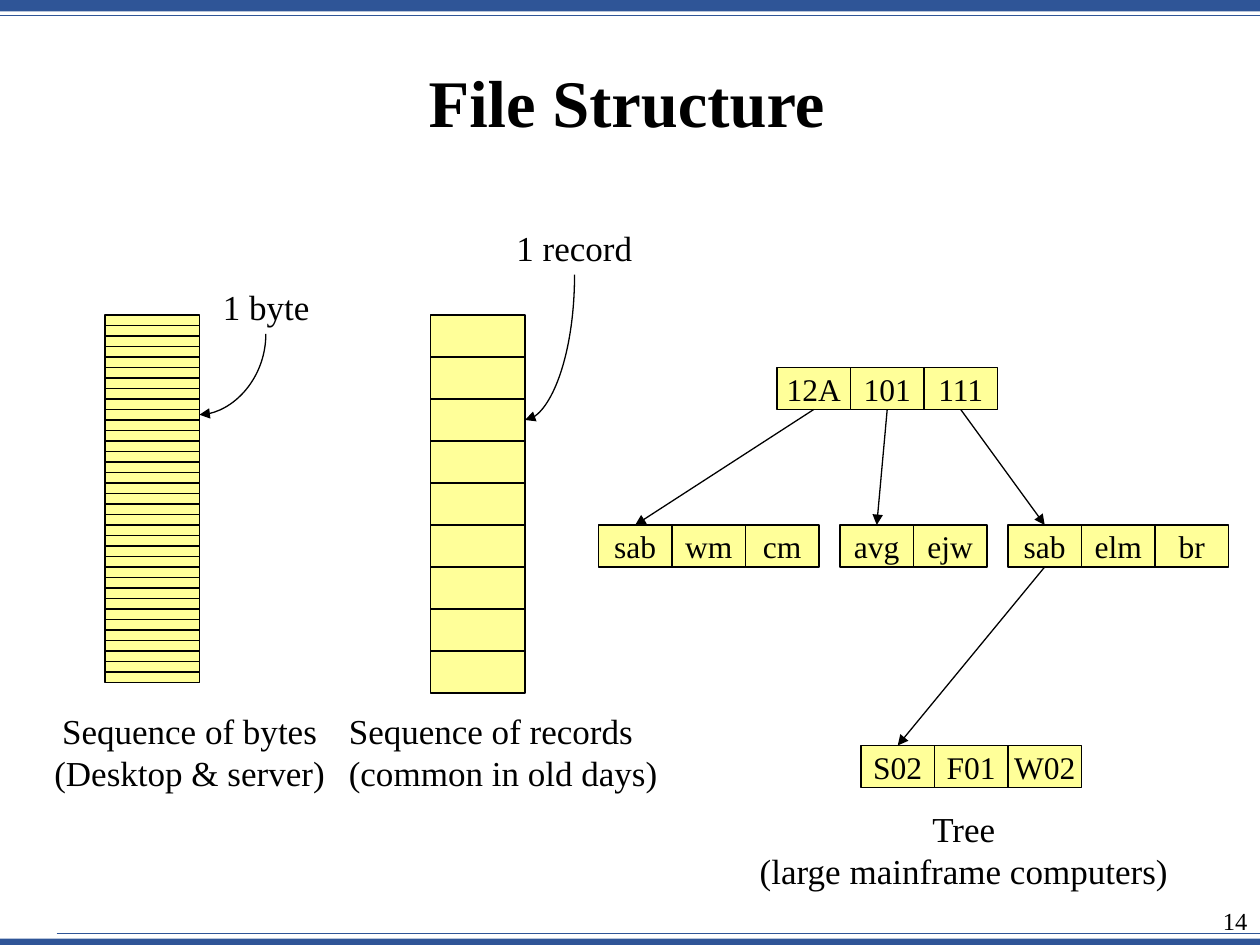
from lxml.etree import SubElement
from pptx import Presentation
from pptx.dml.color import RGBColor
from pptx.enum.shapes import MSO_CONNECTOR, MSO_SHAPE
from pptx.enum.text import MSO_ANCHOR, MSO_AUTO_SIZE, PP_ALIGN
from pptx.oxml.ns import qn
from pptx.util import Inches, Pt

BLUE = RGBColor(0x2F, 0x55, 0x97)
CREAM = RGBColor(0xFF, 0xFF, 0x99)
BLACK = RGBColor(0, 0, 0)
LEFT, MID, RIGHT = PP_ALIGN.LEFT, PP_ALIGN.CENTER, PP_ALIGN.RIGHT
UNIT = 1 / 12  # the drawing sits on a grid of twelfths of an inch
CELL_W, CELL_H = 7 * UNIT, 4 * UNIT
COL_W = 9 * UNIT


class Pen:
    font = "Times New Roman"

    def __init__(self, slide):
        self.slide = slide
        self.shapes = slide.shapes

    def text(self, frame, lines, size, align, bold=False):
        for i, line in enumerate(lines):
            para = frame.paragraphs[0] if i == 0 else frame.add_paragraph()
            para.alignment = align
            run = para.add_run()
            run.text = line
            run.font.name = self.font
            run.font.size = Pt(size)
            run.font.bold = bold
            run.font.color.rgb = BLACK

    def title(self, text, x, y, w, h):
        box = self.shapes.title
        box.left, box.top, box.width, box.height = map(Inches, (x, y, w, h))
        frame = box.text_frame
        frame.vertical_anchor = MSO_ANCHOR.MIDDLE
        self.text(frame, [text], 38, MID, bold=True)
        frame.paragraphs[0].line_spacing = 0.9

    def label(self, lines, x, y, w, h, align=LEFT, size=20):
        box = self.shapes.add_textbox(*map(Inches, (x, y, w, h)))
        frame = box.text_frame
        frame.word_wrap = False
        frame.auto_size = MSO_AUTO_SIZE.SHAPE_TO_FIT_TEXT
        self.text(frame, lines, size, align)

    def rect(self, x, y, w, h, fill=CREAM, edge=BLACK):
        box = self.shapes.add_shape(
            MSO_SHAPE.RECTANGLE, *map(Inches, (x, y, w, h)))
        box.shadow.inherit = False
        box.fill.solid()
        box.fill.fore_color.rgb = fill
        if edge is None:
            box.line.fill.background()
        else:
            box.line.color.rgb = edge
            box.line.width = Pt(0.75)
        return box

    def stack(self, x, y, step, count):
        for i in range(count):
            self.rect(x, y + i * step, COL_W, step)

    def node(self, x, y, keys):
        """Draw a row of key cells that forms one tree node."""
        for i, key in enumerate(keys):
            frame = self.rect(x + i * CELL_W, y, CELL_W, CELL_H).text_frame
            frame.word_wrap = False
            frame.vertical_anchor = MSO_ANCHOR.MIDDLE
            self.text(frame, [key], 18, MID)

    def line(self, x1, y1, x2, y2, color=BLACK, width=0.75,
             head=True, kind=MSO_CONNECTOR.STRAIGHT):
        link = self.shapes.add_connector(
            kind, *map(Inches, (x1, y1, x2, y2)))
        link.line.color.rgb = color
        link.line.width = Pt(width)
        props = link.element.spPr
        if head:
            SubElement(props.find(qn("a:ln")), qn("a:tailEnd"),
                       type="triangle")
        SubElement(props, qn("a:effectLst"))
        return link

    def curve(self, x1, y1, x2, y2):
        """Draw a quarter bend that leaves downwards and arrives leftwards."""
        cx, cy = (x1 + x2) / 2, (y1 + y2) / 2
        dx, dy = (x1 - x2) / 2, (y2 - y1) / 2
        link = self.line(cx - dy, cy - dx, cx + dy, cy + dx,
                         kind=MSO_CONNECTOR.CURVE)
        props = link.element.spPr
        props.find(qn("a:prstGeom")).set("prst", "curvedConnector2")
        props.find(qn("a:xfrm")).set("rot", "5400000")


def main():
    deck = Presentation()
    deck.slide_width, deck.slide_height = Inches(10), Inches(7.5)
    pen = Pen(deck.slides.add_slide(deck.slide_layouts[5]))

    for y, h in ((7.45, 0.05), (0, 0.09)):
        pen.rect(0, y, 10, h, BLUE, None)
    for x, y in ((0, 0.12), (0.45, 7.41)):
        pen.line(x, y, 10, y, BLUE, 0.5, head=False)
    pen.label(["14"], 9.47, 7.14, 0.53, 0.36, RIGHT, 14)
    pen.title("File Structure", 0.66, 0.12, 8.63, 1.45)

    # Bytes and records
    byte_x, rec_x, top = 10 * UNIT, 41 * UNIT, 2.5
    pen.stack(byte_x, top, UNIT, 35)
    pen.label(["Sequence of bytes", "(Desktop & server)"],
              0.25, 5.58, 2.51, 0.77, MID)
    pen.stack(rec_x, top, CELL_H, 9)
    pen.label(["Sequence of records", "(common in old days)"],
              2.67, 5.58, 2.67, 0.77)
    pen.label(["1 byte"], 1.67, 2.22, 0.89, 0.43)
    pen.curve(2.11, 2.65, byte_x + COL_W, top + 9.5 * UNIT)
    pen.label(["1 record"], 4, 1.75, 1.12, 0.43)
    pen.curve(4.56, 2.18, rec_x + COL_W, top + 2.5 * CELL_H)

    # Tree
    root_x, root_y = 74 * UNIT, 35 * UNIT
    kid_y, leaf_x, leaf_y = 50 * UNIT, 82 * UNIT, 71 * UNIT
    kids = ((57 * UNIT, ("sab", "wm", "cm")),
            (80 * UNIT, ("avg", "ejw")),
            (96 * UNIT, ("sab", "elm", "br")))
    half = CELL_W / 2
    pen.node(root_x, root_y, ("12A", "101", "111"))
    for i, (x, keys) in enumerate(kids):
        pen.node(x, kid_y, keys)
        pen.line(root_x + i * CELL_W + half, root_y + CELL_H,
                 x + half, kid_y)
    pen.node(leaf_x, leaf_y, ("S02", "F01", "W02"))
    pen.line(kids[-1][0] + half, kid_y + CELL_H, leaf_x + half, leaf_y)
    pen.label(["Tree", "(large mainframe computers)"],
              5.92, 6.36, 3.46, 0.77, MID)

    deck.save("out.pptx")


if __name__ == "__main__":
    main()
